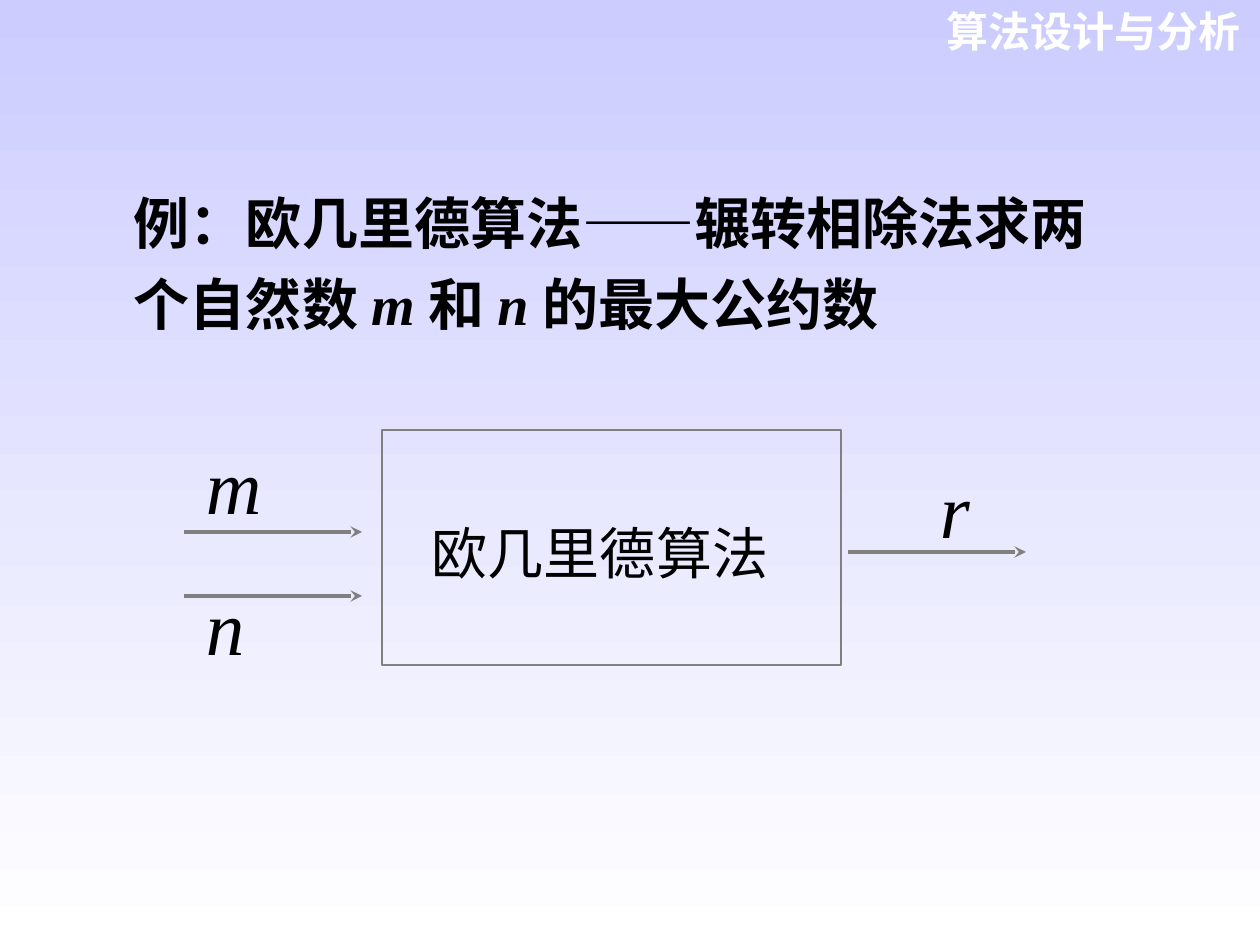
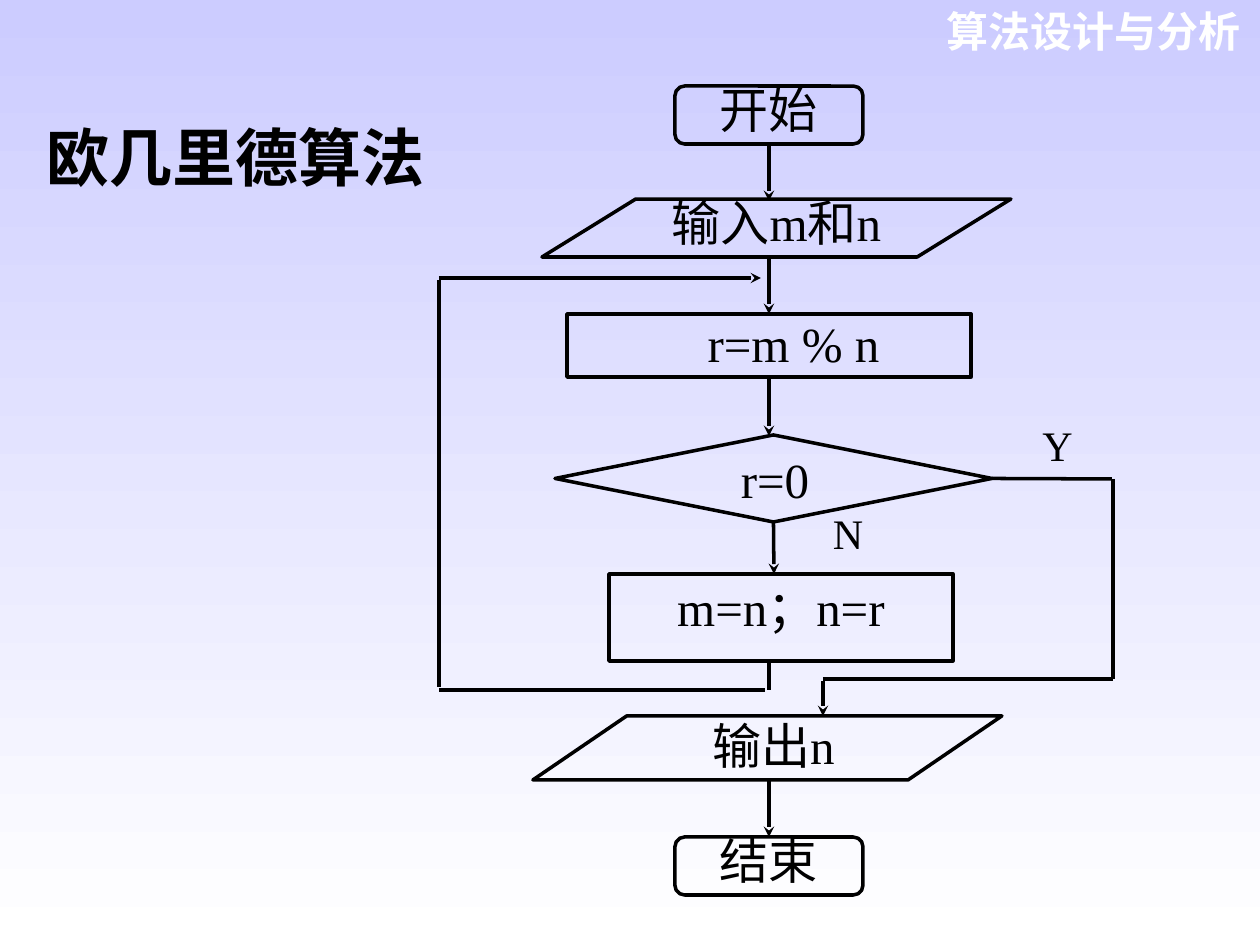
from lxml import etree
from pptx import Presentation
from pptx.dml.color import RGBColor
from pptx.enum.shapes import MSO_CONNECTOR, MSO_SHAPE
from pptx.enum.text import MSO_ANCHOR, PP_ALIGN
from pptx.oxml.ns import qn
from pptx.util import Pt

PX = 7257  # EMU in one px, 126 px to the inch
LEFT, MID, RIGHT = PP_ALIGN.LEFT, PP_ALIGN.CENTER, PP_ALIGN.RIGHT
TOP, CENTER = MSO_ANCHOR.TOP, MSO_ANCHOR.MIDDLE
RECT = MSO_SHAPE.RECTANGLE
ROUND = MSO_SHAPE.FLOWCHART_ALTERNATE_PROCESS
DATA = MSO_SHAPE.FLOWCHART_DATA
STEP = MSO_SHAPE.FLOWCHART_PROCESS
TEST = MSO_SHAPE.FLOWCHART_DECISION
STRAIGHT = MSO_CONNECTOR.STRAIGHT
SANS, SERIF = "Arial", "Times New Roman"
BLACK, WHITE, GRAY, LILAC = "000000", "FFFFFF", "808080", "CCCCFF"
hue = RGBColor.from_string


def write(slide, box, runs, size, color=BLACK, align=LEFT, pad=(13, 6, 13, 6),
          gap=1.0, form=None, edge=BLACK, width=2, anchor=TOP):
    """Add a text box, or an outlined shape if form is given; runs are (text, font, bold, italic)."""
    place = [v * PX for v in box]
    if form is None:
        shape = slide.shapes.add_textbox(*place)
    else:
        shape = slide.shapes.add_shape(form, *place)
        shape.shadow.inherit = False
        shape.fill.background()
        shape.line.color.rgb = hue(edge)
        shape.line.width = Pt(width)
    frame = shape.text_frame
    frame.word_wrap = True
    frame.vertical_anchor = anchor
    frame.margin_left, frame.margin_top, frame.margin_right, frame.margin_bottom = [
        v * PX for v in pad]
    para = frame.paragraphs[0]
    para.alignment = align
    para.line_spacing = gap
    for text, face, bold, slant in runs:
        run = para.add_run()
        run.text = text
        font = run.font
        font.name, font.size, font.bold, font.italic = face, Pt(size), bold, slant
        font.color.rgb = hue(color)
    return shape


def link(slide, ends, arrow=True, color=BLACK, width=2, start=None, stop=None):
    """Draw a line; start and stop are (shape, side) pairs to join."""
    line = slide.shapes.add_connector(STRAIGHT, *[v * PX for v in ends])
    line.line.color.rgb = hue(color)
    line.line.width = Pt(width)
    if arrow:
        etree.SubElement(line.line._get_or_add_ln(), qn("a:tailEnd"), type="stealth")
    etree.SubElement(line._element.spPr, qn("a:effectLst"))
    if start:
        line.begin_connect(*start)
    if stop:
        line.end_connect(*stop)


deck = Presentation()
deck.slide_width, deck.slide_height = 1260 * PX, 945 * PX
back = deck.slide_master.background.fill
back.gradient()
back.gradient_angle = 270
for stop, color in zip(back.gradient_stops, (LILAC, WHITE)):
    stop.color.rgb = hue(color)

pages = [deck.slides.add_slide(deck.slide_layouts[6]) for _ in range(2)]
for page in pages:
    write(page, (912, 0, 342, 63), [("算法设计与分析", SANS, True, False)], 24,
          WHITE, RIGHT)
intro, chart = pages

# Slide 1: inputs and output of the algorithm
write(intro, (382, 430, 459, 235), [("欧几里德算法", SERIF, False, False)], 32,
      pad=(50, 10, 13, 0), form=RECT, edge=GRAY, width=0.75, anchor=CENTER)
for name, x, y, tail, level in [("m", 193, 432, 184, 532), ("n", 193, 572, 184, 596),
                                ("r", 927, 456, 848, 552)]:
    link(intro, (tail, level, tail + 178, level), color=GRAY, width=2.25)
    write(intro, (x, y, 100, 106), [(name, SERIF, False, True)], 44)
write(intro, (121, 169, 1002, 174), [
    ("例：欧几里德算法——辗转相除法求两个自然数 ", SANS, True, False),
    ("m ", SERIF, True, True),
    ("和 ", SANS, True, False),
    ("n ", SERIF, True, True),
    ("的最大公约数", SANS, True, False)], 32, gap=1.2)

# Slide 2: flow chart
write(chart, (34, 113, 665, 88), [("欧几里德算法", SANS, True, False)], 36)
nodes = {}
for key, form, box, text, pad, gap in [
        ("start", ROUND, (675, 86, 188, 58), "开始", (8, 0, 8, 0), 0.85),
        ("read", DATA, (542, 199, 469, 58), "输入m和n", (3, 0, 3, 0), 0.9),
        ("mod", STEP, (567, 314, 404, 63), "r=m % n", (52, 0, 3, 0), 1.0),
        ("test", TEST, (555, 435, 437, 87), "", (0, 0, 0, 0), 1.0),
        ("swap", STEP, (609, 574, 344, 87), "m=n；n=r", (13, 15, 13, 0), 0.8),
        ("print", DATA, (533, 716, 469, 64), "输出n", (20, 0, 8, 0), 1.0),
        ("end", ROUND, (675, 837, 188, 58), "结束", (8, 0, 8, 0), 0.85)]:
    runs = [(text, SERIF, False, False)] if text else []
    nodes[key] = write(chart, box, runs, 28, align=MID, pad=pad, gap=gap, form=form)

for text, box, size in [("r=0", (733, 450, 84, 47), 28), ("N", (828, 508, 40, 48), 24),
                        ("Y", (1024, 420, 67, 48), 24)]:
    write(chart, box, [(text, SERIF, False, False)], size, align=MID, pad=(0, 0, 0, 0))

link(chart, (769, 144, 769, 201), start=(nodes["start"], 2))
link(chart, (769, 257, 769, 314), stop=(nodes["mod"], 0))
link(chart, (769, 377, 769, 436), start=(nodes["mod"], 2))
link(chart, (774, 522, 774, 574), start=(nodes["test"], 2))
link(chart, (769, 780, 769, 837), stop=(nodes["end"], 0))
link(chart, (992, 479, 1112, 479), arrow=False, start=(nodes["test"], 3))

# Yes branch down to the output, then the loop back to the top
for *ends, arrow in [(1113, 479, 1113, 679, False), (823, 679, 1113, 679, False),
                     (823, 681, 823, 716, True), (769, 661, 769, 690, False),
                     (765, 690, 439, 690, False), (439, 687, 439, 280, False),
                     (439, 278, 761, 278, True)]:
    link(chart, ends, arrow)

deck.save("out.pptx")
